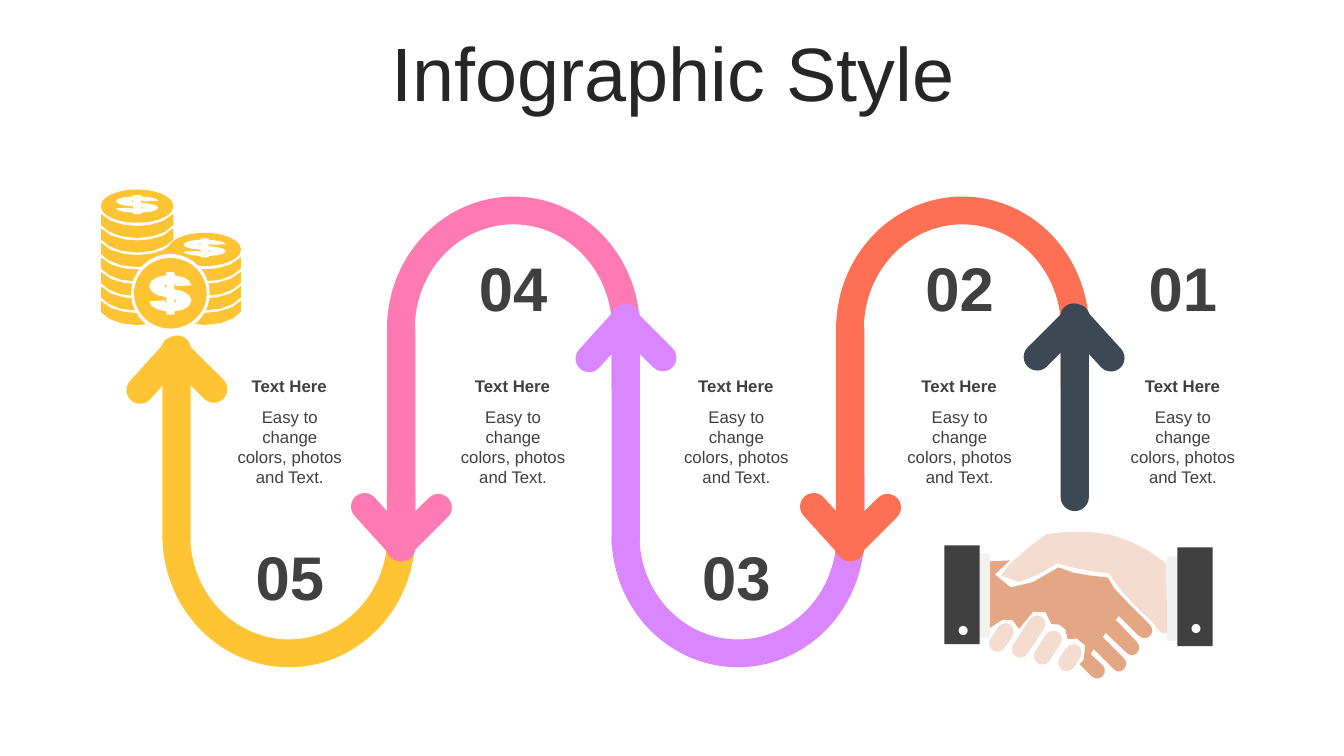
from pptx import Presentation
from pptx.dml.color import RGBColor
from pptx.enum import shapes, text
from pptx.oxml import parse_xml
from pptx.util import Pt

TITLE = "Infographic Style"
HEADING = "Text Here"
BODY = "Easy to change colors, photos and Text."
DARK, GOLD, WHITE = "404040", "FEC434", "FFFFFF"
PALE, TAN, CUFF = "F4DDD0", "E4A786", "F2F2F2"

# Columns from left to right: number, top of the number
NUMBERS = [("05", 381.6), ("04", 175), ("03", 381.6), ("02", 175), ("01", 175)]

# Ribbons: colour, points up, stem (top, height), barb top, barb angles, tail (top, height)
RIBBONS = [
    (GOLD, True, (239.8, 154), 234.5, (42.2, 315), (340.6, 51)),
    ("FF79B2", False, (225.4, 175.7), 347, (317.8, 45), (225.4, 60.5)),
    ("DA87FF", True, (217.4, 180), 212, (42.2, 315), (331.2, 60.5)),
    ("FE7054", False, (225.4, 175.7), 347, (317.8, 45), (225.4, 60.5)),
    ("3C4955", True, (225.4, 139.7), 211.5, (45, 317.8), None),
]

# Icon outlines in units of 0.72 pt: two numbers are a line, six a curve
UNIT = 0.72
PALM = [(1049, 559), (1034, 566, 1009, 589, 993, 571), (990, 567, 1032, 533, 1038, 530),
        (1044, 527, 1094, 527, 1100, 530), (1125, 537, 1140, 545, 1157, 559), (1158, 628),
        (1152, 630, 1151, 627, 1144, 618), (1125, 601, 1111, 586, 1100, 569),
        (1082, 567, 1065, 564, 1049, 559)]
GRIP = [(1002, 556), (987, 570), (999, 595, 1024, 579, 1050, 563),
        (1065, 570, 1081, 571, 1099, 573), (1105, 586, 1112, 590, 1119, 598), (1141, 620),
        (1144, 623, 1144, 628, 1141, 631), (1138, 634, 1133, 634, 1130, 631), (1110, 611),
        (1107, 615), (1128, 637), (1131, 640, 1131, 645, 1128, 648),
        (1125, 651, 1121, 651, 1118, 648), (1097, 628), (1094, 632), (1115, 653),
        (1118, 656, 1118, 661, 1115, 664), (1112, 667, 1108, 667, 1105, 664), (1085, 644),
        (1082, 649), (1094, 660), (1097, 663, 1097, 668, 1094, 671),
        (1091, 674, 1086, 674, 1083, 671), (1072, 660), (1071, 659), (1075, 655),
        (1084, 637, 1067, 630, 1059, 634), (1060, 622, 1051, 618, 1043, 619),
        (1042, 604, 1024, 596, 1011, 624), (1007, 612, 996, 610, 982, 623), (982, 557)]
FINGERS = [(985, 617, 31), (1012, 608, 47), (1031, 624, 37), (1053, 638, 29)]
# Sleeves and cuffs: left, top, width, height, colour
SLEEVES = [(1158, 552, 11, 84, CUFF), (971, 549, 11, 84, CUFF),
           (1168, 543, 35, 98, DARK), (937, 541, 35, 98, DARK)]
BUTTONS = [(1182, 619), (951, 621)]
# Half a dollar sign about its centre; the other half is the same turned around
DOLLAR_HALF = [(4, -21), (-4, -21), (-4, -18), (-14, -17, -21, -13, -21, -7),
               (-21, -2, -14, 3, -4, 4), (-4, 10), (-6, 7), (-21, 8),
               (-21, 13, -13, 17, -4, 18), (-4, 21)]
DOLLAR_HOLE = [(-4, -10), (-4, -5), (-6, -7)]
COIN_SIDE = [(0, 0), (8, 9, 24, 12, 36, 12), (48, 12, 64, 9, 72, 0), (72, 11),
             (66, 18, 54, 24, 36, 24), (18, 24, 6, 18, 0, 11)]
# Coin stacks: left, top of the upper face, number of sides below it
STACKS = [(100, 188, 7), (167, 231, 4)]

prs = Presentation()
prs.slide_width, prs.slide_height = Pt(960), Pt(540)
s = prs.slides.add_slide(prs.slide_layouts[6])
KIND = shapes.MSO_SHAPE


def rgb(value):
    return RGBColor.from_string(value)


def paint(sp, color):
    sp.shadow.inherit = False
    sp.fill.solid()
    sp.fill.fore_color.rgb = rgb(color)
    sp.line.fill.background()
    return sp


def shape(kind, x, y, w, h, color, angle=0):
    sp = paint(s.shapes.add_shape(kind, Pt(x), Pt(y), Pt(w), Pt(h)), color)
    sp.rotation = angle
    return sp


def pill(x, y, w, h, color, angle=0):
    shape(KIND.ROUNDED_RECTANGLE, x, y, w, h, color, angle).adjustments[0] = 0.5


def icon(kind, x, y, w, h, color):
    shape(kind, x * UNIT, y * UNIT, w * UNIT, h * UNIT, color)


def flatten(contour, steps=3):
    points = [contour[0]]
    for seg in contour[1:]:
        if len(seg) == 2:
            points.append(seg)
            continue
        ends = list(zip((points[-1] + seg)[::2], (points[-1] + seg)[1::2]))
        for i in range(1, steps + 1):
            t = i / steps
            weights = ((1 - t) ** 3, 3 * t * (1 - t) ** 2, 3 * t * t * (1 - t), t ** 3)
            points.append(tuple(sum(w * p[k] for w, p in zip(weights, ends)) for k in (0, 1)))
    return points


def outline(contours, color, x=0, y=0, stretch=1):
    placed = [[(Pt((x + px) * UNIT), Pt((y + py * stretch) * UNIT)) for px, py in c]
              for c in contours]
    builder = s.shapes.build_freeform(*placed[0][0], scale=1.0)
    for i, points in enumerate(placed):
        if i:
            builder.move_to(*points[0])
        builder.add_line_segments(points[1:], close=True)
    paint(builder.convert_to_shape(), color)


def turned(points):
    return [(-px, -py) for px, py in points]


def dollar(x, y, stretch=1):
    half = flatten(DOLLAR_HALF)
    outline([half + turned(half), DOLLAR_HOLE, turned(DOLLAR_HOLE)], WHITE, x, y, stretch)


def label(words, x, y, w, h, size, bold=False, color=DARK):
    tf = s.shapes.add_textbox(Pt(x), Pt(y), Pt(w), Pt(h)).text_frame
    tf.word_wrap = True
    tf.text = words
    p = tf.paragraphs[0]
    p.alignment = text.PP_ALIGN.CENTER
    r = p.runs[0]
    r.font.name, r.font.size, r.font.bold = "Arial", Pt(size), bold
    r.font.color.rgb = rgb(color)
    return tf


# Title
tf = label(TITLE, 25.2, 26.6, 911.5, 56.9, 54, color="262626")
tf.vertical_anchor = text.MSO_ANCHOR.MIDDLE
tf.paragraphs[0].line_spacing = 0.9

# Coin stacks, then the coin in front
side = flatten(COIN_SIDE)
for x, top, count in STACKS:
    outline([[(px, py + 14.4 * i) for px, py in side] for i in range(count)],
            GOLD, x, top + 24.2)
    icon(KIND.OVAL, x, top, 72, 33, GOLD)
    dollar(x + 36, top + 15, 0.45)
icon(KIND.OVAL, 130, 252, 78, 78, WHITE)
icon(KIND.OVAL, 133, 256, 72, 70, GOLD)
dollar(169, 291)

# Handshake
outline([flatten(PALM)], PALE)
for x, y, h in FINGERS:
    pill(x * UNIT, y * UNIT, 17 * UNIT, h * UNIT, PALE, 33.4)
outline([flatten(GRIP)], TAN)
for sleeve in SLEEVES:
    icon(KIND.RECTANGLE, *sleeve)
for x, y in BUTTONS:
    icon(KIND.OVAL, x, y, 9, 9, WHITE)

# Numbered columns
for i, (number, top) in enumerate(NUMBERS):
    x = 162 + 159.5 * i
    r = label(number, x + 7.2, top, 75.6, 60.5, 44, True).paragraphs[0].runs[0]
    r.font._element.insert(0, parse_xml(
        '<a:ln xmlns:a="http://schemas.openxmlformats.org/drawingml/2006/main" w="12700">'
        f'<a:solidFill><a:srgbClr val="{WHITE}"/></a:solidFill></a:ln>'))
    label(BODY, x, 286.6, 90, 65.5, 12)
    label(HEADING, x, 265, 89.3, 21.6, 12, True)

# Ribbon arrows
PITCH, THICK = 160.4, 20.2
for i, (color, up, stem, barb_top, angles, tail) in enumerate(RIBBONS):
    x = 116 + PITCH * i
    if tail:
        pill(x + PITCH, tail[0], THICK, tail[1], color)
    for dx, angle in zip((-12.4, 13), angles):
        pill(x + dx, barb_top, 19.4, 59, color, angle)
    pill(x, stem[0], THICK, stem[1], color)
    if tail:
        arc = shape(KIND.BLOCK_ARC, x, 288 if up else 140.4, PITCH + THICK, 188.6, color,
                    180 if up else 0)
        for k, value in enumerate((107.94, 215.66, 0.11)):
            arc.adjustments[k] = value

prs.save("out.pptx")
